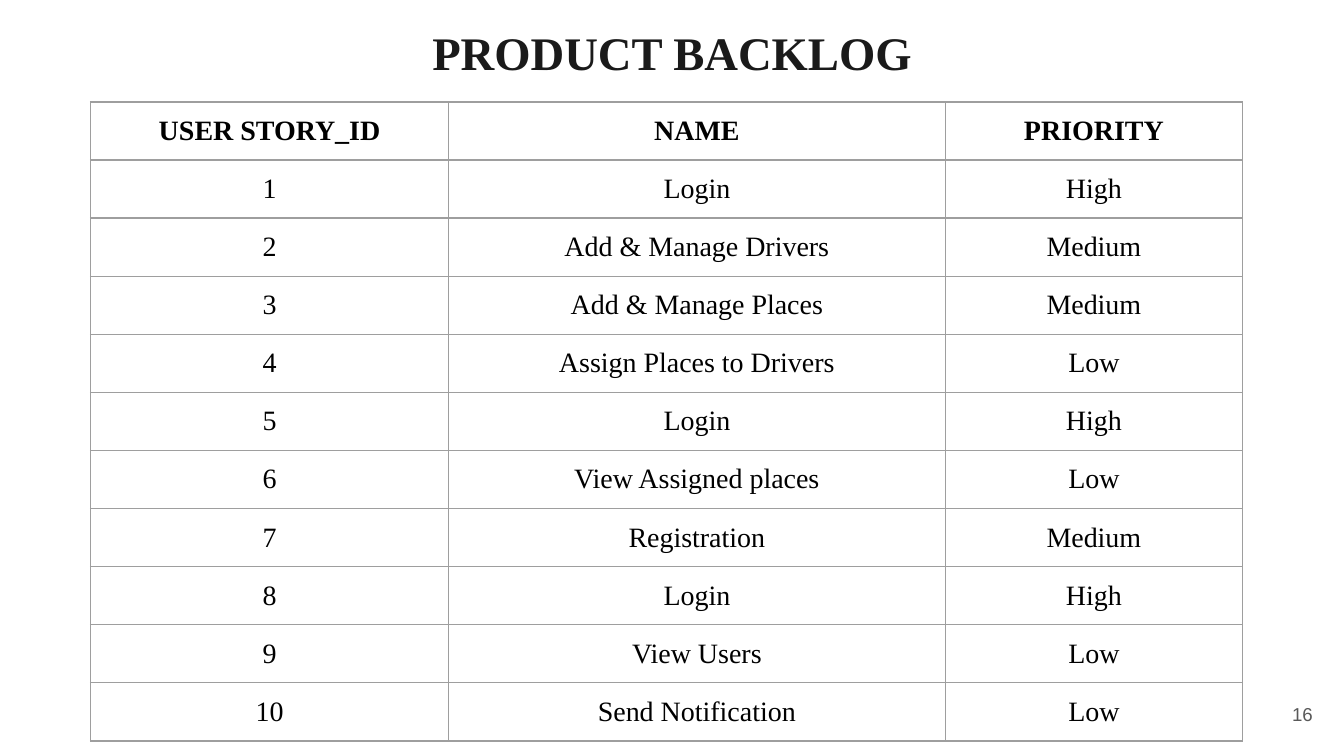
from lxml import etree
from pptx import Presentation
from pptx.dml.color import RGBColor
from pptx.enum.text import MSO_ANCHOR, PP_ALIGN
from pptx.oxml.ns import qn
from pptx.util import Pt

CENTER, RIGHT = PP_ALIGN.CENTER, PP_ALIGN.RIGHT
MIDDLE = MSO_ANCHOR.MIDDLE
SERIF, SANS = "Times New Roman", "Arial"
INSET = Pt(7.2)

HEADERS = ("USER STORY_ID", "NAME", "PRIORITY")
STORIES = [
    ("Login", "High"),
    ("Add & Manage Drivers", "Medium"),
    ("Add & Manage Places", "Medium"),
    ("Assign Places to Drivers", "Low"),
    ("Login", "High"),
    ("View Assigned places", "Low"),
    ("Registration", "Medium"),
    ("Login", "High"),
    ("View Users", "Low"),
    ("Send Notification", "Low"),
]


def rgb(value):
    return RGBColor.from_string(value)


def set_text(tf, text, size, font, color, align, bold=False):
    tf.text = text
    p = tf.paragraphs[0]
    p.alignment = align
    f = p.runs[0].font
    f.size, f.name, f.bold = Pt(size), font, bold
    f.color.rgb = rgb(color)


def set_insets(item):
    item.margin_left = item.margin_right = INSET
    item.margin_top = item.margin_bottom = INSET
    item.vertical_anchor = MIDDLE


def set_borders(cell, color, width):
    # Lines come before the fill in the cell properties
    tc_pr = cell._tc.get_or_add_tcPr()
    for i, side in enumerate(("a:lnL", "a:lnR", "a:lnT", "a:lnB")):
        ln = etree.Element(qn(side), w=str(Pt(width)))
        fill = etree.SubElement(ln, qn("a:solidFill"))
        etree.SubElement(fill, qn("a:srgbClr"), val=color)
        tc_pr.insert(i, ln)


def add_label(s, box, text, size, font, color, align, bold=False):
    tf = s.shapes.add_textbox(*map(Pt, box)).text_frame
    tf.word_wrap = True
    set_insets(tf)
    set_text(tf, text, size, font, color, align, bold)


def add_backlog(s, box, widths):
    rows = [HEADERS]
    rows += [(str(i), *story) for i, story in enumerate(STORIES, 1)]
    table = s.shapes.add_table(len(rows), len(HEADERS), *map(Pt, box)).table
    table.first_row = table.horz_banding = False
    for column, width in zip(table.columns, widths):
        column.width = Pt(width)
    for r, values in enumerate(rows):
        table.rows[r].height = Pt(box[3] / len(rows))
        for c, value in enumerate(values):
            cell = table.cell(r, c)
            set_insets(cell)
            cell.fill.background()
            set_borders(cell, "9E9E9E", 0.75)
            set_text(cell.text_frame, value, 15, SERIF, "000000", CENTER, r == 0)


def main():
    prs = Presentation()
    prs.slide_width, prs.slide_height = Pt(720), Pt(405)
    s = prs.slides.add_slide(prs.slide_layouts[6])

    # Story table
    widths = (191.9, 266, 159.4)
    add_backlog(s, (48.5, 54.6, sum(widths), 342.5), widths)
    # Title
    add_label(s, (24.5, 6.5, 671, 42.5), "PRODUCT BACKLOG", 25, SERIF, "1A1A1A", CENTER, True)
    # Slide number
    add_label(s, (667.2, 367.2, 43.2, 31), "16", 10, SANS, "595959", RIGHT)

    prs.save("out.pptx")


if __name__ == "__main__":
    main()
